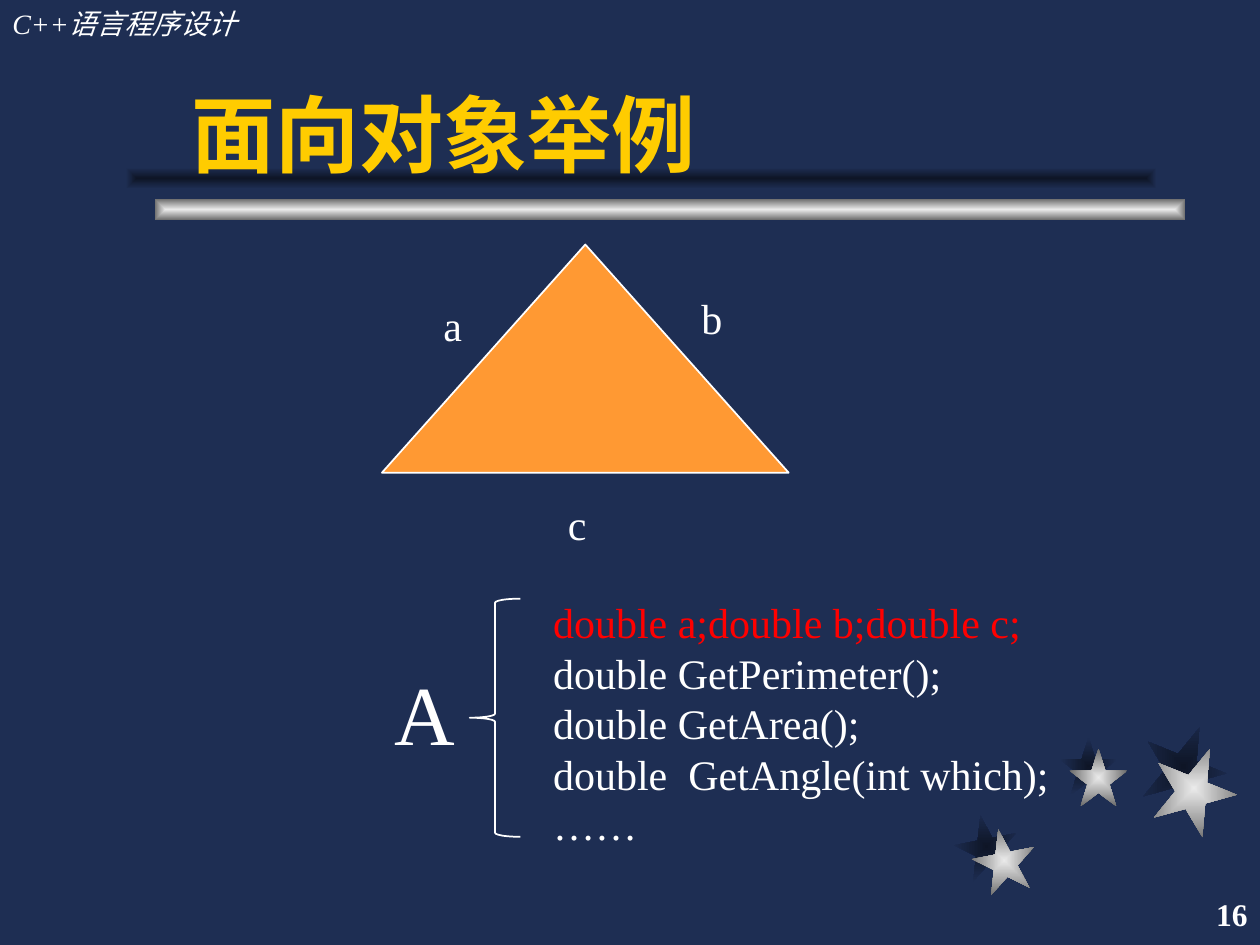
import pptx
import pptx.util
import pptx.dml.color
import pptx.enum.shapes
import pptx.enum.text

Cm, Pt = pptx.util.Cm, pptx.util.Pt
Kind = pptx.enum.shapes.MSO_SHAPE
Anchor = pptx.enum.text.MSO_ANCHOR
Align = pptx.enum.text.PP_ALIGN

# Content
HEAD = "C++语言程序设计"
TITLE = "面向对象举例"
NUMBER = "16"
SIDES = [("a", 8.69, 5.92), ("b", 13.89, 5.77), ("c", 11.2, 9.93)]
NAME = "A"
CODE = [
    ("double a;double b;double c;", "FF0000"),
    ("double GetPerimeter();", "FFFFFF"),
    ("double GetArea();", "FFFFFF"),
    ("double  GetAngle(int which);", "FFFFFF"),
    ("……", "FFFFFF"),
]

# Decoration: shade place, light place, size, turn
STARS = [
    ((19.25, 16.43), (19.61, 16.71), 1.27, 349),
    ((21.36, 14.86), (21.56, 15.09), 1.17, 0),
    ((23.01, 14.61), (23.22, 15.04), 1.7, 22),
]
BARS = [((2.54, 3.38), "shade"), ((3.12, 4.01), "light")]
TONES = {"shade": ("0E1526", "1E2E53"), "light": ("EAEAEA", "6C6C6C")}


def color(code):
    return pptx.dml.color.RGBColor.from_string(code)


def place(item, left, top, wide, high):
    item.left, item.top = Cm(left), Cm(top)
    item.width, item.height = Cm(wide), Cm(high)


def shape(kind, left, top, wide, high):
    item = slide.shapes.add_shape(kind, Cm(left), Cm(top), Cm(wide), Cm(high))
    item.shadow.inherit = False
    return item


def glow(item, tone):
    """Fill from the centre out to the edges."""
    item.line.fill.background()
    item.fill.gradient()
    for stop, code in zip(item.fill.gradient_stops, TONES[tone]):
        stop.color.rgb = color(code)
    grad = item.element.spPr.find(pptx.oxml.ns.qn("a:gradFill"))
    grad.remove(grad.find(pptx.oxml.ns.qn("a:lin")))
    grad.append(pptx.oxml.parse_xml(
        f'<a:path {pptx.oxml.ns.nsdecls("a")} path="rect">'
        '<a:fillToRect l="50000" t="50000" r="50000" b="50000"/></a:path>'))


def style(para, size, code="FFFFFF", face="Times New Roman", bold=False,
          slant=False):
    font = para.font
    font.name, font.size = face, Pt(size)
    font.bold, font.italic = bold, slant
    font.color.rgb = color(code)


def label(text, box, size, **look):
    item = slide.shapes.add_textbox(*map(Cm, box))
    frame = item.text_frame
    frame.word_wrap = True
    frame.text = text
    for para in frame.paragraphs:
        style(para, size, **look)
    return frame


deck = pptx.Presentation()
deck.slide_width, deck.slide_height = Cm(25.4), Cm(19.05)
slide = deck.slides.add_slide(deck.slide_layouts[5])
slide.background.fill.solid()
slide.background.fill.fore_color.rgb = color("1E2E53")

# Stars and bars, shades first
for tone, spot in (("shade", 0), ("light", 1)):
    for star in STARS:
        item = shape(Kind.STAR_5_POINT, *star[spot], star[2], star[2])
        item.rotation = star[3]
        glow(item, tone)
for spot, tone in BARS:
    glow(shape(Kind.RECTANGLE, *spot, 20.78, 0.43), tone)

# Head, title and page number
label(HEAD, (0, 0, 7.82, 0.94), 16, slant=True)
title = slide.shapes.title
place(title, 3.61, 0.64, 19.89, 3.18)
title.text_frame.text = TITLE
title.text_frame.vertical_anchor = Anchor.BOTTOM
title.text_frame.paragraphs[0].alignment = Align.LEFT
style(title.text_frame.paragraphs[0], 48, "FFCC00", "Arial", bold=True)
slide.shapes._spTree.append(title.element)  # in front of the bars
page = label(NUMBER, (20.12, 17.78, 5.28, 1.27), 18, bold=True)
page.vertical_anchor = Anchor.MIDDLE
page.paragraphs[0].alignment = Align.RIGHT

# Triangle with its sides
tri = shape(Kind.ISOSCELES_TRIANGLE, 7.7, 4.93, 8.2, 4.6)
tri.fill.solid()
tri.fill.fore_color.rgb = color("FF9933")
for text, left, top in SIDES:
    label(text, (left, top, 1.19, 1.27), 24)

# Class A and its members
code = label("\n".join(text for text, _ in CODE), (10.9, 11.91, 11.51, 6.35), 24)
for para, (_, hue) in zip(code.paragraphs, CODE):
    para.font.color.rgb = color(hue)
    para.line_spacing = Pt(28.8)
brace = shape(Kind.LEFT_BRACE, 9.47, 12.07, 1.02, 4.8)
brace.adjustments[0] = 0.08
brace.fill.background()
label(NAME, (7.7, 13.21, 2.01, 2.29), 48)

for item in (tri, brace):
    item.line.color.rgb = color("FFFFFF")
    item.line.width = Pt(1)

deck.save("out.pptx")
